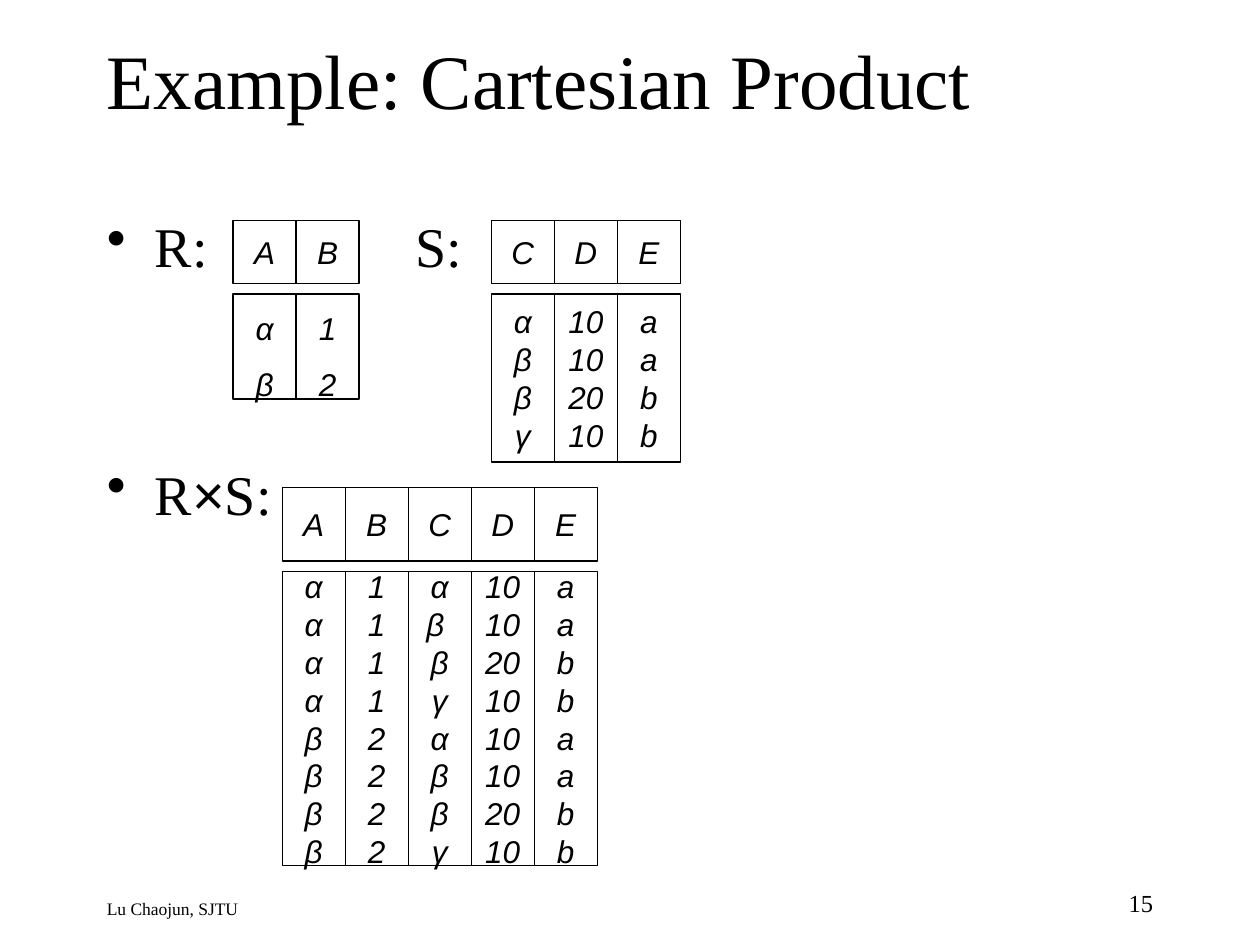
from dataclasses import dataclass
from itertools import product

from lxml.etree import SubElement
from pptx import Presentation
from pptx.dml.color import RGBColor
from pptx.enum.shapes import MSO_SHAPE
from pptx.enum.text import MSO_ANCHOR, PP_ALIGN
from pptx.oxml.ns import qn
from pptx.util import Inches, Pt

COLORS = {"ink": "000000", "paper": "FFFFFF"}
SERIF, SANS = "Times New Roman", "Arial"
WIDTH, HEIGHT = Inches(10), Inches(7.5)
COLUMN = WIDTH // 20
ROW = HEIGHT // 90


@dataclass
class Relation:
    """Placed on the grid: left in columns, top and heights in rows."""
    left: float
    top: float
    header_rows: int
    body_rows: int
    attributes: str
    tuples: list[tuple[str, ...]]
    line_spacing: float = 1.0


@dataclass
class Label:
    """Position and size in inches."""
    text: str
    left: float
    top: float
    width: float
    height: float
    size: int
    align: PP_ALIGN = PP_ALIGN.LEFT
    anchor: MSO_ANCHOR = MSO_ANCHOR.TOP


def color(name: str) -> RGBColor:
    return RGBColor.from_string(COLORS[name])


def style(font, size: int, family: str, italic: bool = False) -> None:
    font.size, font.name, font.italic = Pt(size), family, italic
    font.color.rgb = color("ink")


def add_label(slide, label: Label):
    box = slide.shapes.add_textbox(Inches(label.left), Inches(label.top),
                                   Inches(label.width), Inches(label.height))
    frame = box.text_frame
    frame.word_wrap = True
    frame.vertical_anchor = label.anchor
    frame.text = label.text
    for paragraph in frame.paragraphs:
        paragraph.alignment = label.align
        for run in paragraph.runs:
            style(run.font, label.size, SERIF)
    return frame


def add_bullet(paragraph) -> None:
    properties = paragraph._p.get_or_add_pPr()
    indent = Inches(0.38)
    properties.set("marL", str(indent))
    properties.set("indent", str(-indent))
    SubElement(properties, qn("a:buChar")).set("char", "•")


def add_cell(slide, left: float, top: float, rows: int,
             values: list[str], line_spacing: float = 1.0) -> None:
    cell = slide.shapes.add_shape(MSO_SHAPE.RECTANGLE, int(left * COLUMN),
                                  int(top * ROW), COLUMN, rows * ROW)
    cell.shadow.inherit = False
    cell.fill.solid()
    cell.fill.fore_color.rgb = color("paper")
    cell.line.color.rgb = color("ink")
    cell.line.width = Pt(0.75)
    frame = cell.text_frame
    frame.word_wrap = False
    frame.vertical_anchor = MSO_ANCHOR.MIDDLE
    frame.text = "\n".join(values)
    for paragraph in frame.paragraphs:
        paragraph.alignment = PP_ALIGN.CENTER
        paragraph.line_spacing = line_spacing
        style(paragraph.runs[0].font, 18, SANS, italic=True)


def add_relation(slide, relation: Relation) -> None:
    body_top = relation.top + relation.header_rows + 1
    columns = zip(relation.attributes, zip(*relation.tuples))
    for index, (attribute, values) in enumerate(columns):
        left = relation.left + index
        add_cell(slide, left, relation.top, relation.header_rows, [attribute])
        add_cell(slide, left, body_top, relation.body_rows, list(values),
                 relation.line_spacing)


def main() -> None:
    presentation = Presentation()
    presentation.slide_width, presentation.slide_height = WIDTH, HEIGHT
    slide = presentation.slides.add_slide(presentation.slide_layouts[6])

    for label in (
        Label("Lu Chaojun, SJTU", 0.75, 7.08, 5.8, 0.25, 10),
        Label("15", 7.17, 7, 2.08, 0.33, 14, PP_ALIGN.RIGHT),
        Label("Example: Cartesian Product", 0.75, 0, 8.5, 1.25, 44,
              anchor=MSO_ANCHOR.MIDDLE),
        Label("S:", 3.2, 1.63, 0.65, 0.6, 32),
    ):
        add_label(slide, label)

    operands = add_label(slide, Label("R:\nR", 0.75, 1.63, 8.5, 5.03, 32))
    for paragraph in operands.paragraphs:
        add_bullet(paragraph)
    product_line = operands.paragraphs[1]
    product_line.space_before = Pt(103)
    for text, family in (("×", SANS), ("S:", SERIF)):
        run = product_line.add_run()
        run.text = text
        style(run.font, 32, family)

    r_tuples = [("α", "1"), ("β", "2")]
    s_tuples = [("α", "10", "a"), ("β", "10", "a"),
                ("β", "20", "b"), ("γ", "10", "b")]
    rs_tuples = [r + s for r, s in product(r_tuples, s_tuples)]
    rs_tuples[1] = ("α", "1", "β ", "10", "a")

    for relation in (
        Relation(3.7, 21, 6, 10, "AB", r_tuples, line_spacing=1.5),
        Relation(7.8, 21, 6, 16, "CDE", s_tuples),
        Relation(4.48, 46.44, 7, 28, "ABCDE", rs_tuples),
    ):
        add_relation(slide, relation)

    presentation.save("out.pptx")


if __name__ == "__main__":
    main()
